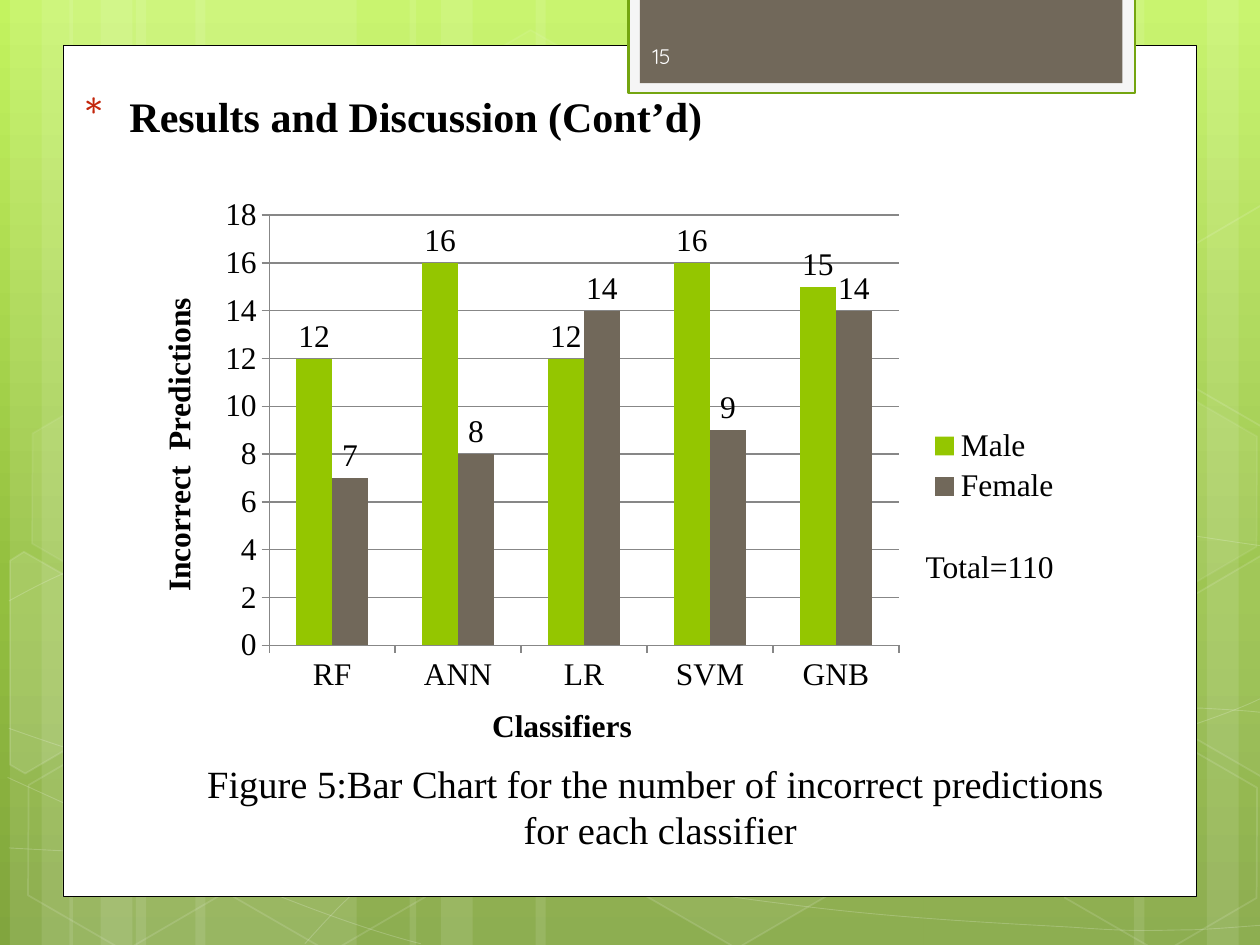
from copy import deepcopy

from lxml import etree
from pptx import Presentation
from pptx import util as u
from pptx.chart.data import CategoryChartData
from pptx.dml.color import RGBColor
from pptx.enum import chart as charts, shapes, text
from pptx.oxml import parse_xml
from pptx.oxml.ns import nsdecls, qn

COLORS = {
    "sky": "C3F35F", "grass": "93BF3F", "moss": "81A53E", "white": "FFFFFF",
    "black": "000000", "tab_edge": "F5F5F5", "tab_line": "74A510",
    "brown": "71685A", "green": "94C600", "red": "C3260C",
    "number": "FEFEFE", "grid": "878787",
}
SERIF = "Times New Roman"
HUNDREDTH_INCH = u.Cm(0.0254)
BANDS = [
    (2.74, 4.45), (0.2, 1.27), (0.84, 2.11), (3.94, 4.45), (1.4, 1.27), (2.03, 2.11),
    (18.62, 4.45), (24.33, 1.27), (22.86, 2.11), (10.8, 7.82), (8.26, 1.27), (8.89, 2.11),
]
CURVES = [
    [(7, 673), (61, 676), (115, 679), (190, 678), (265, 677), (358, 675), (458, 665),
     (558, 655), (700, 636), (792, 617), (883, 598), (977, 568), (1007, 551)],
    [(7, 477), (36, 461), (65, 446), (121, 431), (178, 416), (259, 394), (347, 387),
     (436, 380), (544, 379), (654, 387), (764, 395), (947, 426), (1007, 434)],
    [(6, 617), (127, 672), (247, 727), (334, 749)],
    [(7, 578), (38, 589), (70, 600), (128, 616), (186, 631), (273, 656), (357, 673),
     (440, 690), (545, 708), (628, 718), (711, 729), (800, 733), (853, 736),
     (905, 740), (919, 738), (945, 738), (971, 737), (989, 735), (1007, 734)],
    [(242, 749), (260, 729), (278, 709), (302, 691), (326, 673), (360, 653), (388, 639),
     (416, 625), (433, 619), (470, 609), (506, 599), (573, 585), (608, 578),
     (644, 571), (649, 571), (680, 569), (711, 566), (760, 563), (794, 562),
     (829, 561), (886, 562), (886, 562), (908, 562), (931, 562), (953, 562),
     (971, 563), (988, 564), (997, 565), (1006, 566), (1003, 565), (1006, 566)],
]
HEXAGONS = [
    (8.48, 0.91, 4, 8), (12.62, 14.96, 6, 12), (0.28, 15.01, None, 12),
    (0.36, 7.92, 7, 8), (4.42, 15.04, None, 12), (19.13, 11.51, 10, 12),
    (21.18, 15.06, None, 12), (21.18, 7.98, 7, 8),
]
CUT_HEXAGONS = [
    ([(8, 445), (19, 438), (96, 482), (95, 570), (20, 614), (8, 607)], 10),
    ([(926, 485), (1001, 441), (1009, 446), (1009, 613), (1002, 617), (926, 573)], 4),
    ([(926, 207), (1001, 163), (1010, 168), (1009, 335), (1002, 339), (926, 295)], None),
]


def rgb(name):
    """Return a palette colour."""
    return RGBColor.from_string(COLORS[name])


def set_alpha(shape, query, percent):
    """Make the colour found by the query partly transparent."""
    for color in shape._element.spPr.xpath(query):
        etree.SubElement(color, qn("a:alpha"), val=str(percent * 1000))


def paint(shape, fill=None, line=None, width=1, fill_alpha=None, line_alpha=None):
    """Set fill, outline and transparency of a shape."""
    shape.shadow.inherit = False
    if fill:
        shape.fill.solid()
        shape.fill.fore_color.rgb = rgb(fill)
    else:
        shape.fill.background()
    if line:
        shape.line.color.rgb = rgb(line)
        shape.line.width = u.Pt(width)
    else:
        shape.line.fill.background()
    if fill_alpha:
        set_alpha(shape, "./a:solidFill/a:srgbClr", fill_alpha)
    if line_alpha:
        set_alpha(shape, "./a:ln/a:solidFill/a:srgbClr", line_alpha)


def add_preset(slide, kind, left, top, width, height):
    """Add a preset shape measured in centimetres."""
    return slide.shapes.add_shape(kind, *map(u.Cm, (left, top, width, height)))


def add_outline(slide, left, top, points, close):
    """Add a freeform through points given in hundredths of an inch."""
    builder = slide.shapes.build_freeform(*points[0], scale=HUNDREDTH_INCH)
    builder.add_line_segments(points[1:], close=close)
    return builder.convert_to_shape(u.Cm(left), u.Cm(top))


def bend(shape):
    """Turn each three line segments into one Bezier segment."""
    segments = shape._element.xpath(".//a:lnTo")
    for first in range(0, len(segments), 3):
        triple = segments[first:first + 3]
        curve = etree.Element(qn("a:cubicBezTo"))
        triple[0].addprevious(curve)
        for segment in triple:
            curve.append(segment[0])
            segment.getparent().remove(segment)


def add_backdrop(slide, left, top, width, height):
    """Draw the gradient with its bands, curves and hexagons."""
    fill = slide.background.fill
    fill.gradient()
    first_stop = slide._element.xpath(".//p:bg//a:gs")[0]
    first_stop.addnext(deepcopy(first_stop))
    for stop, color, position in zip(fill.gradient_stops, ("sky", "grass", "moss"), (0, 0.62, 1)):
        stop.color.rgb = rgb(color)
        stop.position = position
    fill.gradient_angle = 270
    for offset, band_width in BANDS:
        band = add_preset(slide, shapes.MSO_SHAPE.RECTANGLE, left + offset, top, band_width, height)
        paint(band, "white", fill_alpha=10)
    for points in CURVES:
        curve = add_outline(slide, left, top, points, False)
        bend(curve)
        paint(curve, line="white", width=0.5, line_alpha=20)
    for x, y, fill_alpha, line_alpha in HEXAGONS:
        hexagon = add_preset(slide, shapes.MSO_SHAPE.HEXAGON, left + x, top + y, 4.45, 3.86)
        hexagon.adjustments[0] = 0.285
        hexagon.rotation = 30
        paint(hexagon, fill_alpha and "white", "white", 1, fill_alpha, line_alpha)
    for points, fill_alpha in CUT_HEXAGONS:
        cut_hexagon = add_outline(slide, left, top, points, True)
        paint(cut_hexagon, fill_alpha and "white", "white", 1, fill_alpha, 12)


def add_label(slide, left, top, width, height, lines, size, color="black", font=SERIF,
              bold=None, align=None, wrap=True):
    """Add a text box with one paragraph per line and return its frame."""
    frame = slide.shapes.add_textbox(*map(u.Cm, (left, top, width, height))).text_frame
    frame.text = "\n".join(lines)
    frame.word_wrap = wrap
    for paragraph in frame.paragraphs:
        paragraph.alignment = align
        for run in paragraph.runs:
            run.font.size, run.font.name, run.font.bold = u.Pt(size), font, bold
            run.font.color.rgb = rgb(color)
    return frame


def add_panel(slide, left, top, width, height):
    """Draw the white panel and the page number tab."""
    rectangle = shapes.MSO_SHAPE.RECTANGLE
    paint(add_preset(slide, rectangle, left, top, width, height), "white", "black", 0.5)
    tab_left, tab_top = left + 11.4, top - 0.96
    paint(add_preset(slide, rectangle, tab_left, tab_top, 10.21, 1.93), "tab_edge", "tab_line", 1.25)
    paint(add_preset(slide, rectangle, tab_left + 0.23, tab_top, 9.73, 1.73), "brown")
    number = add_label(slide, tab_left + 0.23, tab_top + 0.68, 3.71, 1.02, ["15"], 12,
                       "number", "Quicksand")
    number.vertical_anchor = text.MSO_ANCHOR.MIDDLE


def add_heading(slide, left, top, width, height):
    """Write the bulleted heading."""
    frame = add_label(slide, left, top, width, height, ["Results and Discussion (Cont’d)"], 24,
                      bold=True, wrap=False)
    properties = frame.paragraphs[0]._p.get_or_add_pPr()
    properties.set("marL", str(u.Cm(0.89)))
    properties.set("indent", str(u.Cm(-0.89)))
    color = etree.SubElement(properties, qn("a:buClr"))
    etree.SubElement(color, qn("a:srgbClr"), val=COLORS["red"])
    etree.SubElement(properties, qn("a:buSzPct"), val="128000")
    etree.SubElement(properties, qn("a:buFont"), typeface="Quicksand")
    etree.SubElement(properties, qn("a:buChar"), char="*")


def add_results(slide, left, top, width, height):
    """Draw the column chart with its total."""
    data = CategoryChartData()
    data.categories = ["RF", "ANN", "LR", "SVM", "GNB"]
    data.add_series("Male", (12, 16, 12, 16, 15))
    data.add_series("Female", (7, 8, 14, 9, 14))
    chart = slide.shapes.add_chart(charts.XL_CHART_TYPE.COLUMN_CLUSTERED,
                                   *map(u.Cm, (left, top, width, height)), data).chart
    chart.has_title = False
    chart.font.size, chart.font.name = u.Pt(18), SERIF
    chart.font.color.rgb = rgb("black")
    chart.has_legend = True
    chart.legend.position = charts.XL_LEGEND_POSITION.RIGHT
    chart.legend.include_in_layout = False
    axes = (chart.category_axis, "Classifiers"), (chart.value_axis, "Incorrect  Predictions")
    for axis, title in axes:
        axis.axis_title.text_frame.text = title
        font = axis.axis_title.text_frame.paragraphs[0].runs[0].font
        font.size, font.name, font.bold = u.Pt(18), SERIF, True
        font.color.rgb = rgb("black")
        axis.major_tick_mark = charts.XL_TICK_MARK.OUTSIDE
        axis.format.line.color.rgb = rgb("grid")
    values = chart.value_axis
    values.minimum_scale, values.maximum_scale, values.major_unit = 0, 18, 2
    values.major_gridlines.format.line.color.rgb = rgb("grid")
    plot = chart.plots[0]
    plot.gap_width, plot.overlap, plot.vary_by_categories = 150, 0, False
    for series, color in zip(plot.series, ("green", "brown")):
        series.format.fill.solid()
        series.format.fill.fore_color.rgb = rgb(color)
        series.data_labels.show_value = True
        series.data_labels.position = charts.XL_LABEL_POSITION.OUTSIDE_END
    area = chart._chartSpace.xpath(".//c:plotArea")[0]
    for layout in area.findall(qn("c:layout")):
        area.remove(layout)
    settings = [("layoutTarget", "inner"), ("xMode", "edge"), ("yMode", "edge"),
                ("x", 0.142), ("y", 0.063), ("w", 0.671), ("h", 0.749)]
    tags = "".join(f'<c:{tag} val="{value}"/>' for tag, value in settings)
    area.insert(0, parse_xml(
        f'<c:layout {nsdecls("c")}><c:manualLayout>{tags}</c:manualLayout></c:layout>'))
    add_label(slide, left + 15.67, top + 7.29, 4.01, 1.02, ["Total=110"], 18)


def main():
    """Build and save the slide."""
    deck = Presentation()
    deck.slide_width, deck.slide_height = u.Cm(25.4), u.Cm(19.05)
    slide = deck.slides.add_slide(deck.slide_layouts[6])
    add_backdrop(slide, 0, 0, 25.4, 19.05)
    add_panel(slide, 1.27, 0.91, 22.86, 17.17)
    add_heading(slide, 1.47, 1.7, 13.08, 1.27)
    caption = ["Figure 5:Bar Chart for the number of incorrect predictions ", "for each classifier"]
    add_label(slide, 3.81, 15.19, 19, 2.13, caption, 22, align=text.PP_ALIGN.CENTER, wrap=False)
    add_results(slide, 2.74, 3.61, 18.92, 11.58)
    deck.save("out.pptx")


if __name__ == "__main__":
    main()
